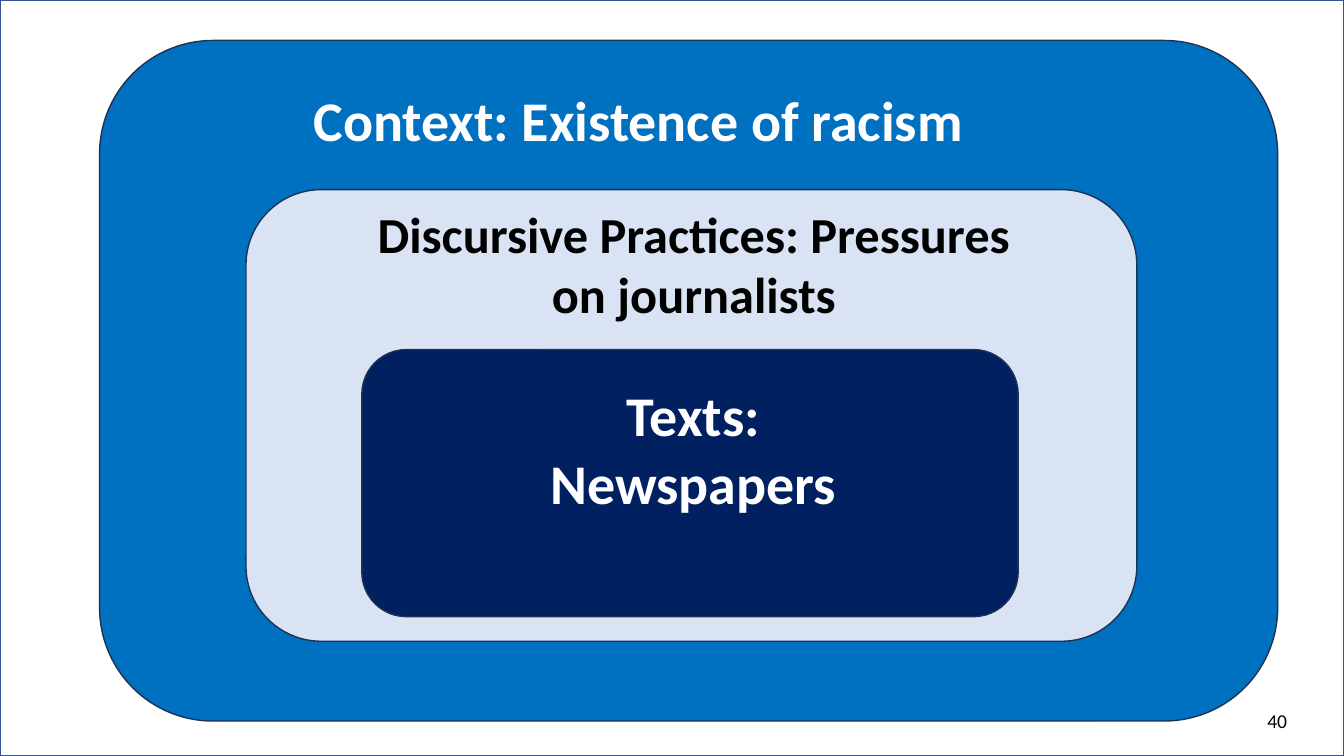
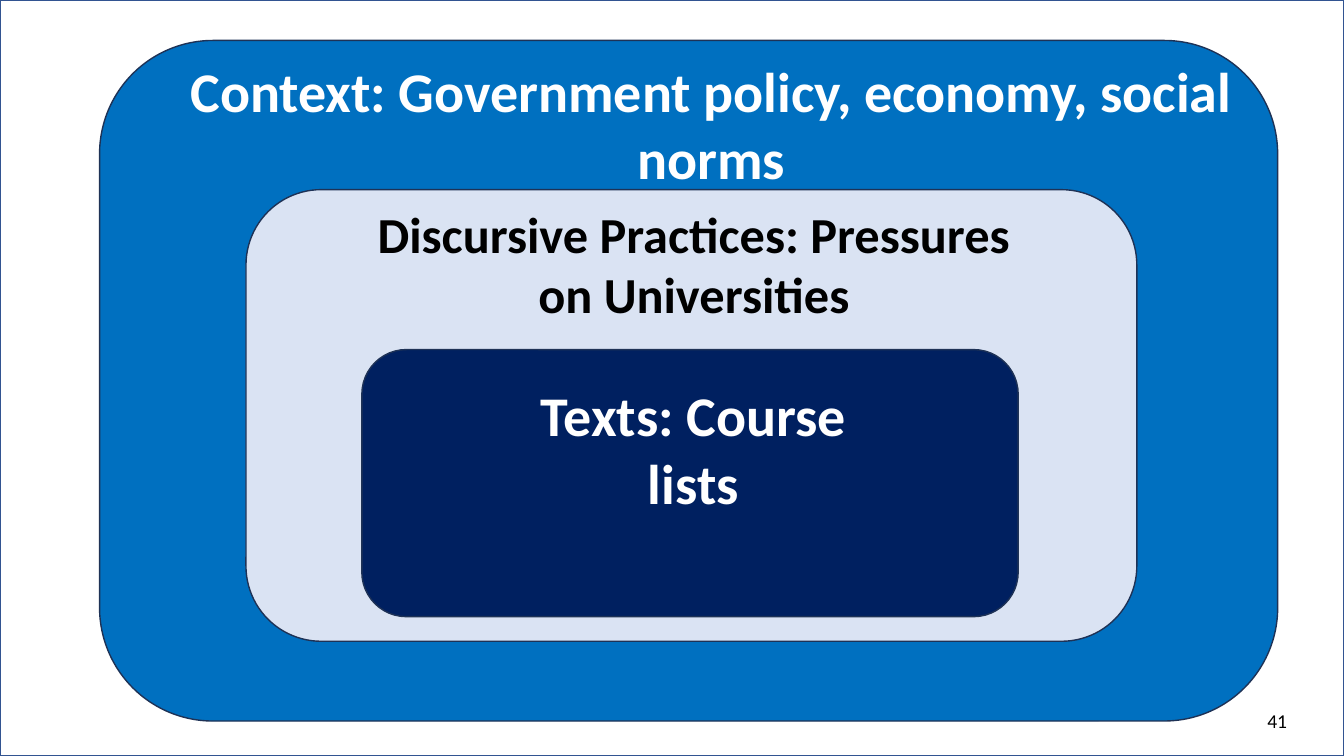
from pptx import Presentation
from pptx.dml.color import RGBColor
from pptx.enum.shapes import MSO_SHAPE
from pptx.enum.text import MSO_ANCHOR, MSO_AUTO_SIZE, PP_ALIGN
from pptx.util import Cm, Pt

RECT, ROUNDED = MSO_SHAPE.RECTANGLE, MSO_SHAPE.ROUNDED_RECTANGLE
LEFT, CENTER, RIGHT = PP_ALIGN.LEFT, PP_ALIGN.CENTER, PP_ALIGN.RIGHT
TOP, MIDDLE = MSO_ANCHOR.TOP, MSO_ANCHOR.MIDDLE

COLORS = {
    "context": "0070C0", "practices": "DAE3F3", "texts": "002060",
    "outline": "1E3256", "frame": "325491", "white": "FFFFFF", "black": "000000",
}
WIDTH, HEIGHT = 33.87, 19.05
FIRST_NUMBER = 40
TITLE_ONLY = 5

# Nested layers from the outside in: left, top, width, height in cm
LAYERS = {
    "context": (2.51, 1.02, 29.69, 17.15),
    "practices": (6.2, 4.78, 22.45, 11.38),
    "texts": (9.12, 8.81, 16.54, 6.73),
}
PRACTICES_BOX = (9.22, 4.98, 16.54, 3.33)
TEXTS_BOX = (12.98, 9.47, 8.99, 3.68)
NUMBER_BOX = (25.07, 17.65, 7.62, 1.02)

# Text styles: size, colour and weight
HEADING = {"size": Pt(40), "bold": True, "color": "white"}
SUBHEADING = {"size": Pt(36), "bold": True, "color": "black"}
NUMBER = {"size": Pt(14), "bold": False, "color": "black"}

SLIDES = [
    {"context": "Context: Existence of racism",
     "context_box": (7.65, 2.03, 21.26, 1.96), "context_align": LEFT,
     "practices": "Discursive Practices: Pressures on journalists",
     "texts": "Texts: Newspapers"},
    {"context": "Context: Government policy, economy, social norms",
     "context_box": (3.61, 1.3, 28.63, 3.68), "context_align": CENTER,
     "practices": "Discursive Practices: Pressures on Universities",
     "texts": "Texts: Course lists"},
]


def rgb(name):
    return RGBColor.from_string(COLORS[name])


def add_panel(slide, kind, box, fill, line):
    panel = slide.shapes.add_shape(kind, *map(Cm, box))
    panel.shadow.inherit = False
    panel.fill.solid()
    panel.fill.fore_color.rgb = rgb(fill)
    panel.line.color.rgb = rgb(line)
    panel.line.width = Pt(1)
    return panel


def write_text(frame, text, style, align, anchor=TOP):
    settings = {
        "word_wrap": True, "auto_size": MSO_AUTO_SIZE.NONE, "vertical_anchor": anchor,
        "margin_left": Cm(0.25), "margin_right": Cm(0.25),
        "margin_top": Cm(0.13), "margin_bottom": Cm(0.13),
    }
    for name, value in settings.items():
        setattr(frame, name, value)
    frame.text = text
    paragraph = frame.paragraphs[0]
    paragraph.alignment = align
    font = paragraph.runs[0].font
    for name, value in {"name": "Calibri", "size": style["size"], "bold": style["bold"]}.items():
        setattr(font, name, value)
    font.color.rgb = rgb(style["color"])


def add_label(slide, box, text, style, align=CENTER, anchor=TOP):
    label = slide.shapes.add_textbox(*map(Cm, box))
    write_text(label.text_frame, text, style, align, anchor)


def place_title(slide, box, text, align):
    title = slide.shapes.title
    for name, value in zip(("left", "top", "width", "height"), box):
        setattr(title, name, Cm(value))
    write_text(title.text_frame, text, HEADING, align)
    # Bring the title in front of the layers
    slide.shapes.element.append(title.element)


def add_layer_slide(prs, number, content):
    slide = prs.slides.add_slide(prs.slide_layouts[TITLE_ONLY])
    add_label(slide, NUMBER_BOX, str(number), NUMBER, RIGHT, MIDDLE)
    for layer, box in LAYERS.items():
        add_panel(slide, ROUNDED, box, layer, "outline")
    place_title(slide, content["context_box"], content["context"], content["context_align"])
    add_label(slide, PRACTICES_BOX, content["practices"], SUBHEADING)
    add_label(slide, TEXTS_BOX, content["texts"], HEADING)
    return slide


def frame_layout(prs, slide):
    # Move one outlined page frame to the shared layout, behind its placeholders
    frame = add_panel(slide, RECT, (0, 0, WIDTH, HEIGHT), "white", "frame")
    prs.slide_layouts[TITLE_ONLY].shapes.element.insert(2, frame.element)


def main():
    prs = Presentation()
    prs.slide_width, prs.slide_height = Cm(WIDTH), Cm(HEIGHT)
    slides = [add_layer_slide(prs, number, content)
              for number, content in enumerate(SLIDES, FIRST_NUMBER)]
    frame_layout(prs, slides[0])
    prs.save("out.pptx")


if __name__ == "__main__":
    main()
